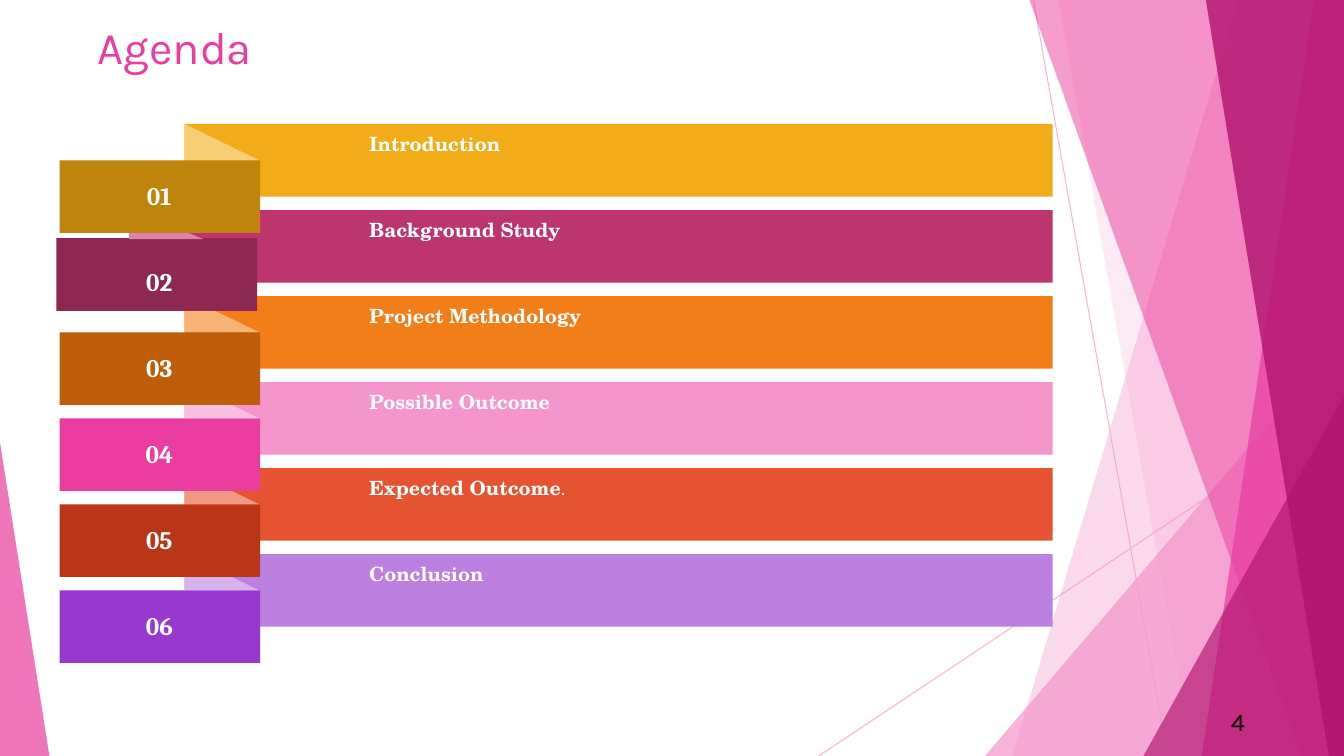
from dataclasses import dataclass
from lxml.etree import SubElement
from pptx import Presentation
from pptx.dml.color import RGBColor
from pptx.enum.shapes import MSO_CONNECTOR, MSO_SHAPE
from pptx.enum.text import MSO_ANCHOR, PP_ALIGN
from pptx.oxml.ns import qn
from pptx.util import Inches, Pt


@dataclass(frozen=True)
class Theme:
    light: str = "F496CB"
    accent: str = "EB3D9F"
    dark: str = "B2136D"
    white: str = "FFFFFF"
    black: str = "000000"
    heading_font: str = "Karla"
    topic_font: str = "TeX Gyre Schola"
    number_font: str = "Cambria"
    title_size: float = 32.4
    number_size: float = 18
    topic_size: float = 14


THEME = Theme()
WIDTH, HEIGHT = 13.33, 7.5

AGENDA = [
    ("Introduction", "F2AC19", "BE840B", "F7CD75"),
    ("Background Study", "BC356F", "8D2853", "DC81A8"),
    ("Project Methodology", "F27E19", "BE5E0B", "F7B275"),
    ("Possible Outcome", "F496CB", THEME.accent, "F8C0E0"),
    ("Expected Outcome.", "E65331", "BB3517", "F09883"),
    ("Conclusion", "BC80E0", "9739CF", "D7B3EC"),
]
SHIFTED_ROW = 1


def set_color(fill, color, opacity=100):
    fill.solid()
    fill.fore_color.rgb = RGBColor.from_string(color)
    if opacity < 100:
        for srgb in fill._xPr.iter(qn("a:srgbClr")):
            SubElement(srgb, qn("a:alpha")).set("val", str(opacity * 1000))


def paint(shape, color, opacity=100):
    shape.shadow.inherit = False
    shape.line.fill.background()
    set_color(shape.fill, color, opacity)


def add_block(slide, kind, box, color, opacity=100):
    block = slide.shapes.add_shape(kind, *map(Inches, box))
    paint(block, color, opacity)
    return block


def set_font(font, name, size, color, bold=False):
    font.name, font.size, font.bold = name, Pt(size), bold
    font.color.rgb = RGBColor.from_string(color)


def add_text(slide, box, inset=True):
    frame = slide.shapes.add_textbox(*map(Inches, box)).text_frame
    frame.word_wrap = True
    if not inset:
        frame.margin_left = frame.margin_right = 0
        frame.margin_top = frame.margin_bottom = 0
    return frame.paragraphs[0]


def add_ray(slide, start, end):
    ray = slide.shapes.add_connector(
        MSO_CONNECTOR.STRAIGHT, *map(Inches, start + end))
    ray.line.width = Pt(0.75)
    set_color(ray.line.fill, THEME.light, 70)
    SubElement(ray._element.spPr, qn("a:effectLst"))


def add_shard(slide, top_left, bottom_left, color, opacity):
    corners = [(WIDTH, 0), (WIDTH, HEIGHT), (bottom_left, HEIGHT)]
    builder = slide.shapes.build_freeform(
        Inches(top_left), 0, scale=1.0)
    builder.add_line_segments(
        [(Inches(x), Inches(y)) for x, y in corners], close=True)
    paint(builder.convert_to_shape(), color, opacity)


def add_corner(slide, left, top, width, apex, color, opacity):
    corner = add_block(slide, MSO_SHAPE.ISOSCELES_TRIANGLE,
                       (left, top, width, HEIGHT - top), color, opacity)
    corner.adjustments[0] = apex


def draw_backdrop(slide):
    add_ray(slide, (10.25, 0), (11.58, HEIGHT))
    add_ray(slide, (WIDTH, 4.03), (8.12, HEIGHT))
    add_shard(slide, 12.28, 10.04, THEME.light, 36)
    add_shard(slide, 10.5, 11.83, THEME.light, 20)
    add_corner(slide, 9.77, 3.33, 3.56, 1, THEME.light, 72)
    add_shard(slide, 10.21, 12.91, THEME.accent, 50)
    add_shard(slide, 13.03, 11.92, THEME.accent, 70)
    add_shard(slide, 11.96, 13.18, THEME.dark, 80)
    add_corner(slide, 11.34, 3.93, 1.99, 1, THEME.dark, 66)
    add_corner(slide, 0, 4.39, 0.49, 0, THEME.accent, 70)


def draw_title(slide, box):
    title = slide.shapes.title
    title.left, title.top, title.width, title.height = map(Inches, box)
    frame = title.text_frame
    frame.text = "Agenda"
    frame.vertical_anchor = MSO_ANCHOR.TOP
    heading = frame.paragraphs[0]
    heading.alignment = PP_ALIGN.LEFT
    set_font(heading.font, THEME.heading_font, THEME.title_size, THEME.accent)


def draw_agenda_row(slide, left, top, width, index):
    topic, bar_color, tab_color, fold_color = AGENDA[index]
    bar_left, bar_height = left + 1.24, 0.72
    tab_box = (left, top + 0.36, 1.99, bar_height)
    fold_box = (bar_left, top, 0.74, 0.36)
    if index == SHIFTED_ROW:
        tab_box = (left - 0.03, top + 0.28, 1.99, bar_height)
        fold_box = (bar_left - 0.55, top - 0.02, 0.74, 0.31)

    add_block(slide, MSO_SHAPE.RECTANGLE,
              (bar_left, top, width - 1.24, bar_height), bar_color)
    add_block(slide, MSO_SHAPE.RECTANGLE, tab_box, tab_color)
    add_block(slide, MSO_SHAPE.RIGHT_TRIANGLE, fold_box, fold_color)

    number = add_text(slide, (left + 0.48, top + 0.51, 1.02, 0.4))
    number.text = f"{index + 1:02}"
    number.alignment = PP_ALIGN.CENTER
    set_font(number.font, THEME.number_font, THEME.number_size,
             THEME.white, True)

    label = add_text(slide, (left + 3.07, top + 0.08, 6.08, 0.24), inset=False)
    words = topic.rstrip(".")
    label.add_run().text = words
    set_font(label.font, THEME.topic_font, THEME.topic_size, THEME.white, True)
    if words != topic:
        stop = label.add_run()
        stop.text = "."
        stop.font.name, stop.font.bold = THEME.number_font, False


def draw_agenda(slide, box):
    left, top, width, height = box
    pitch = height / len(AGENDA)
    for index in reversed(range(len(AGENDA))):
        draw_agenda_row(slide, left, top + index * pitch, width, index)


def draw_page_number(slide, box):
    page = add_text(slide, box)
    page.text = "4"
    set_font(page.font, THEME.heading_font, THEME.number_size, THEME.black)


def main():
    deck = Presentation()
    deck.slide_width, deck.slide_height = Inches(WIDTH), Inches(HEIGHT)
    slide = deck.slides.add_slide(deck.slide_layouts[5])
    draw_backdrop(slide)
    draw_title(slide, (0.87, 0.14, 9.28, 0.76))
    draw_agenda(slide, (0.59, 1.23, 9.85, 5.12))
    draw_page_number(slide, (12.11, 6.96, 0.79, 0.4))
    deck.save("out.pptx")


if __name__ == "__main__":
    main()
